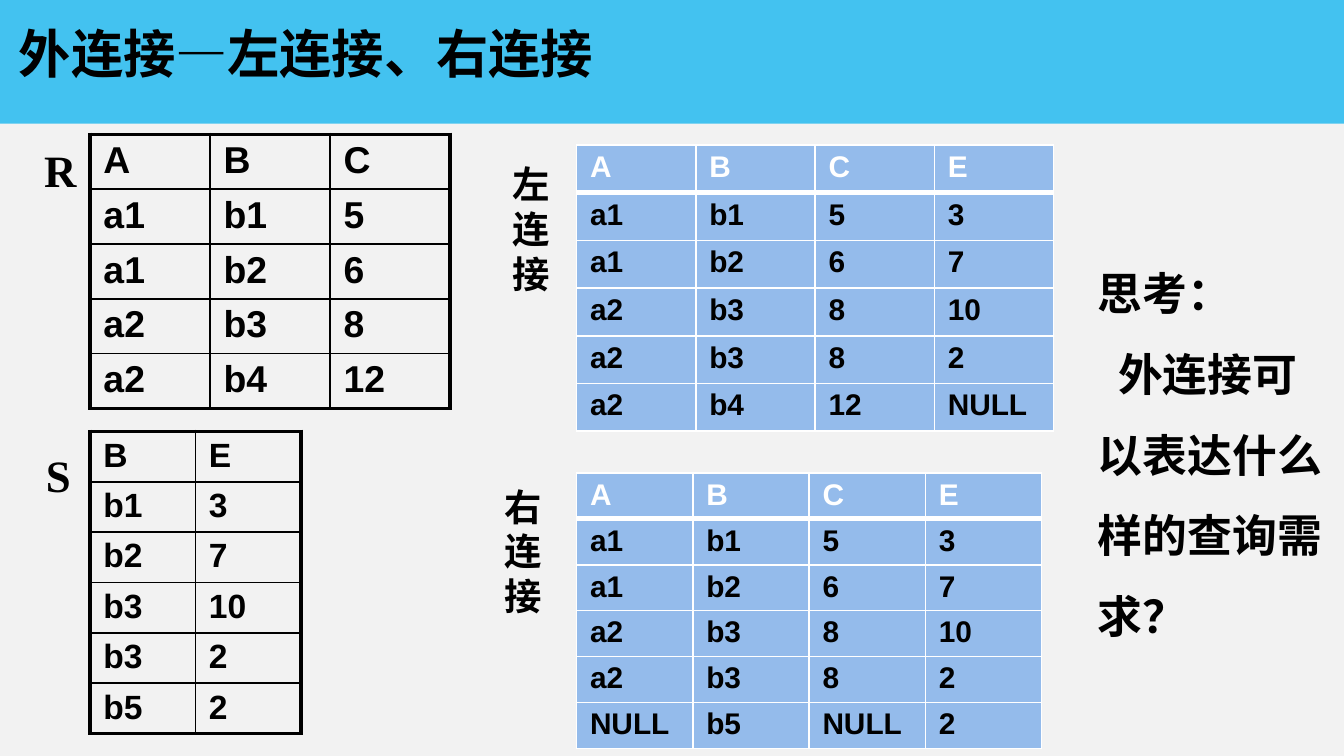
from pptx import Presentation
from pptx.dml.color import RGBColor
from pptx.enum.shapes import MSO_SHAPE
from pptx.enum.text import MSO_ANCHOR, PP_ALIGN
from pptx.oxml.ns import qn
from pptx.util import Inches, Pt
from lxml.etree import SubElement

BLACK, WHITE, CELL_BLUE = "000000", "FFFFFF", "94BBEB"
EAST_ASIAN_FONT = "Noto Sans CJK SC"

TITLE = "外连接—左连接、右连接"
RELATION_R = ["A B C", "a1 b1 5", "a1 b2 6", "a2 b3 8", "a2 b4 12"]
RELATION_S = ["B E", "b1 3", "b2 7", "b3 10", "b3 2", "b5 2"]
SHARED_ROWS = ["A B C E", "a1 b1 5 3", "a1 b2 6 7", "a2 b3 8 10", "a2 b3 8 2"]
LEFT_JOIN = SHARED_ROWS + ["a2 b4 12 NULL"]
RIGHT_JOIN = SHARED_ROWS + ["NULL b5 NULL 2"]
QUESTION = ["思考：", "外连接可以表达什么样的查询需求？"]

# rows, (left, top, width, height), text size
RELATIONS = [
    (RELATION_R, (0.67, 1, 2.68, 2.04), 20),
    (RELATION_S, (0.67, 3.21, 1.57, 2.25), 18),
]
JOINS = [
    (LEFT_JOIN, (4.29, 1.08, 3.55, 2.13), 16),
    (RIGHT_JOIN, (4.29, 3.52, 3.46, 2.05), 16),
]
# paragraphs, (left, top, width, height), text size
LABELS = [
    ("左连接", (3.68, 1.15, 0.54, 1.11), 20),
    ("右连接", (3.58, 3.55, 0.63, 1.11), 20),
    ("R", (0.23, 1.01, 0.39, 0.5), 24),
    ("S", (0.16, 3.28, 0.55, 0.5), 24),
]


def color(hex_string):
    return RGBColor.from_string(hex_string)


def inches(box):
    return [Inches(value) for value in box]


def format_text(text_frame, size, font="Arial", hex_string=BLACK):
    for paragraph in text_frame.paragraphs:
        for run in paragraph.runs:
            run.font.size = Pt(size)
            run.font.bold = True
            run.font.name = font
            run.font.color.rgb = color(hex_string)
            east_asian = SubElement(run.font._element, qn("a:ea"))
            east_asian.set("typeface", EAST_ASIAN_FONT)


def add_text(slide, paragraphs, box, size, font):
    text_frame = slide.shapes.add_textbox(*inches(box)).text_frame
    text_frame.word_wrap = True
    text_frame.text = "\n".join(paragraphs)
    format_text(text_frame, size, font)
    return text_frame


def set_borders(cell, widths, hex_string):
    """Draw the left, right, top and bottom borders, with widths in points."""
    properties = cell._tc.get_or_add_tcPr()
    for position, (side, width) in enumerate(zip("LRTB", widths)):
        line = properties.makeelement(qn(f"a:ln{side}"), {"w": str(Pt(width))})
        fill = SubElement(line, qn("a:solidFill"))
        SubElement(fill, qn("a:srgbClr"), val=hex_string)
        properties.insert(position, line)


def add_grid(slide, rows, box, size, is_join):
    """Add a blue join result, or an unfilled relation with a heavy frame."""
    values = [row.split() for row in rows]
    row_count, column_count = len(values), len(values[0])
    left, top, width, height = inches(box)
    table = slide.shapes.add_table(
        row_count, column_count, left, top, width, height).table
    table.first_row = table.horz_banding = False
    frame, line, header_line = (1, WHITE, 3) if is_join else (2.25, BLACK, 1)
    for column in table.columns:
        column.width = width // column_count
    for row in table.rows:
        row.height = height // row_count
    for r, row in enumerate(values):
        for c, value in enumerate(row):
            cell = table.cell(r, c)
            cell.text = value
            cell.margin_left = cell.margin_right = Inches(0.1)
            cell.margin_top = cell.margin_bottom = Inches(0.04)
            text_color = WHITE if is_join and r == 0 else BLACK
            format_text(cell.text_frame, size, hex_string=text_color)
            if is_join:
                cell.fill.solid()
                cell.fill.fore_color.rgb = color(CELL_BLUE)
            else:
                cell.fill.background()
            horizontal = [frame, header_line] + [1] * (row_count - 2) + [frame]
            vertical = [frame] + [1] * (column_count - 1) + [frame]
            widths = vertical[c:c + 2] + horizontal[r:r + 2]
            set_borders(cell, widths, line)


def add_header(slide):
    band = slide.shapes.add_shape(
        MSO_SHAPE.RECTANGLE, *inches((-0.01, 0, 10.01, 0.92)))
    band.shadow.inherit = False
    band.line.fill.background()
    band.fill.solid()
    band.fill.fore_color.rgb = color("00B0F0")
    band_color = band._element.spPr.find(".//" + qn("a:srgbClr"))
    SubElement(band_color, qn("a:alpha"), val="72000")
    slide.shapes._spTree.insert(2, band._element)  # behind the title

    title = slide.shapes.title
    title.left, title.top, title.width, title.height = inches(
        (0.04, 0.16, 8.95, 0.46))
    title.text_frame.text = TITLE
    title.text_frame.vertical_anchor = MSO_ANCHOR.MIDDLE
    title.text_frame.paragraphs[0].alignment = PP_ALIGN.LEFT
    format_text(title.text_frame, 28)


def main():
    presentation = Presentation()
    presentation.slide_width = Inches(10)
    presentation.slide_height = presentation.slide_width * 9 // 16
    slide = presentation.slides.add_slide(presentation.slide_layouts[5])
    slide.background.fill.solid()
    slide.background.fill.fore_color.rgb = color("F2F2F2")
    add_header(slide)

    for rows, box, size in JOINS:
        add_grid(slide, rows, box, size, is_join=True)
    for rows, box, size in RELATIONS:
        add_grid(slide, rows, box, size, is_join=False)
    for characters, box, size in LABELS:
        label = add_text(slide, characters, box, size, "Times New Roman")
        for paragraph in label.paragraphs:
            paragraph.alignment = PP_ALIGN.CENTER

    question = add_text(slide, QUESTION, (8.07, 1.73, 1.89, 3.13), 24, "Arial")
    question.paragraphs[1].runs[0].font.name = EAST_ASIAN_FONT
    for paragraph in question.paragraphs:
        paragraph.line_spacing = 1.5
    question.paragraphs[1]._p.get_or_add_pPr().set("indent", str(Inches(0.15)))
    presentation.save("out.pptx")


if __name__ == "__main__":
    main()
